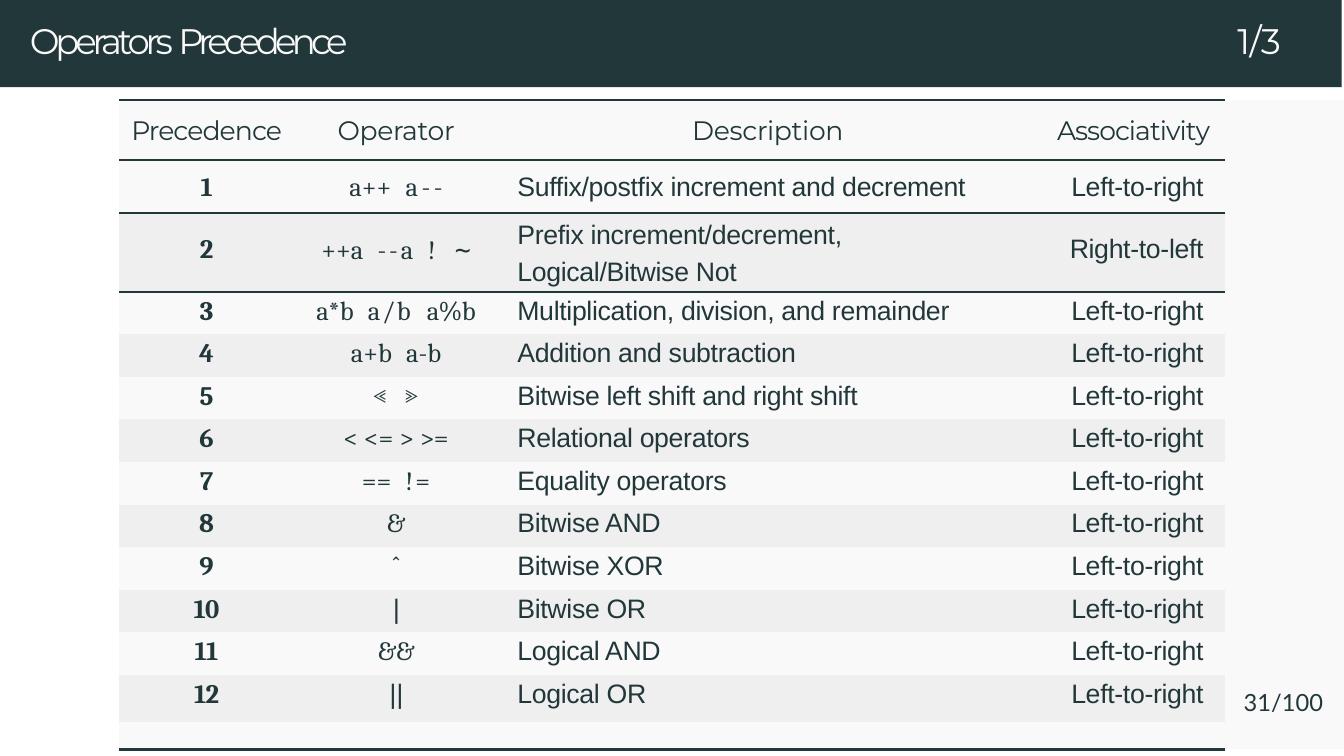
import pptx
import pptx.dml.color
import pptx.enum.shapes
import pptx.enum.text
import pptx.oxml
import pptx.oxml.ns
import pptx.util
from pptx.util import Inches

COLORS = {"dark": "22373A", "light": "F9F9F9", "stripe": "EFEFEF"}
ALIGN = pptx.enum.text.PP_ALIGN
NO_STYLE = "{2D5ABB26-0587-4C30-8999-92F81FD0307C}"
SYMBOL_FONT = "DejaVu Sans Mono"
GAP = (" ", 2.8)

HEADINGS = [("Precedence", -0.3), ("Operator", -0.1), ("Description", -0.1), ("Associativity", -0.3)]
OPERATORS = [
    ([("a++", 0), GAP, ("a-", 1.2), ("-", 0.5)], "Suffix/postfix increment and decrement"),
    ([("++a", 0), GAP, ("--", 1), ("a ", 1.5), ("! ", 2.2), ("∼", -0.5)],
     "Prefix increment/decrement, Logical/Bitwise Not"),
    ([("a*b", 0), GAP, ("a/b", 0.6), GAP, ("a%b", -0.2)], "Multiplication, division, and remainder"),
    ([("a+b", 0), GAP, ("a-b", 0)], "Addition and subtraction"),
    ([("≪ ", 0), ("≫", -0.5)], "Bitwise left shift and right shift"),
    ([("< <= > ", 0), (">=", -0.2)], "Relational operators"),
    ([("==", 0), GAP, ("!=", 0.8)], "Equality operators"),
    ([("&", 0)], "Bitwise AND"),
    ([("ˆ", 0)], "Bitwise XOR"),
    ([("|", 0)], "Bitwise OR"),
    ([("&&", 0)], "Logical AND"),
    ([("||", 0)], "Logical OR"),
]
RIGHT_TO_LEFT = 2
COLUMN_WIDTHS = [0.82, 0.96, 2.41, 1, 0.56]
ROW_HEIGHTS = [0.28, 0.25, 0.37] + [0.2] * 9 + [0.22, 0.13]
TOP_MARGINS = {0: 0.07, 1: 0.06, 2: 0.1}


def rgb(name):
    return pptx.dml.color.RGBColor.from_string(COLORS[name])


def style_run(run, font_name, size, color="dark", spacing=0, bold=False, italic=False):
    run.font.name = font_name
    run.font.size = pptx.util.Pt(size)
    run.font.color.rgb = rgb(color)
    run.font.bold = bold
    run.font.italic = italic
    run._r.get_or_add_rPr().set("spc", str(round(spacing * 100)))


def write_header_text(shape, box, runs):
    shape.left, shape.top, shape.width, shape.height = [Inches(length) for length in box]
    frame = shape.text_frame
    frame.margin_left = frame.margin_top = Inches(0.01)
    frame.margin_right = frame.margin_bottom = 0
    frame.word_wrap = True
    frame.auto_size = pptx.enum.text.MSO_AUTO_SIZE.NONE
    frame.vertical_anchor = pptx.enum.text.MSO_ANCHOR.TOP
    paragraph = frame.paragraphs[0]
    paragraph.alignment = ALIGN.LEFT
    for text, spacing in runs:
        run = paragraph.add_run()
        run.text = text
        style_run(run, "Montserrat", 12, "light", spacing)


def add_header(slide, left, top, width, height):
    bar = slide.shapes.add_shape(
        pptx.enum.shapes.MSO_SHAPE.RECTANGLE,
        Inches(left), Inches(top), Inches(width), Inches(height))
    bar.shadow.inherit = False
    bar.fill.solid()
    bar.fill.fore_color.rgb = rgb("dark")
    bar.line.fill.background()
    slide.shapes._spTree.insert(2, bar._element)
    write_header_text(slide.shapes.title, (left + 0.13, top + 0.08, 1.7, 0.23),
                      [("Operators ", -1.4), ("Precedence", -1.6)])
    counter = slide.shapes.add_textbox(0, 0, 0, 0)
    write_header_text(counter, (left + width - 0.5, top + 0.08, 0.3, 0.23), [("1/3", -0.2)])


def write_cell(cell, runs, font_name, alignment, size=9, bold=False):
    paragraph = cell.text_frame.paragraphs[0]
    paragraph.alignment = alignment
    for text, spacing in runs:
        run = paragraph.add_run()
        run.text = text
        bar = text.startswith("|")
        name = SYMBOL_FONT if text.strip() in "∼≪≫" and text.strip() else font_name
        style_run(run, "Arial" if bar else name, size, "dark", spacing, bold, bar)


def add_rule(cell, side, points):
    line = pptx.oxml.parse_xml(
        f'<a:{side} {pptx.oxml.ns.nsdecls("a")} w="{pptx.util.Pt(points)}"><a:solidFill>'
        f'<a:srgbClr val="{COLORS["dark"]}"/></a:solidFill></a:{side}>')
    cell._tc.get_or_add_tcPr().insert(0, line)


def prepare_cells(table):
    for row_index, row in enumerate(table.rows):
        for column_index, cell in enumerate(row.cells):
            cell.margin_left = cell.margin_right = cell.margin_bottom = 0
            cell.margin_top = Inches(TOP_MARGINS.get(row_index, 0.02))
            striped = row_index > 0 and row_index % 2 == 0 and column_index < 4
            cell.fill.solid()
            cell.fill.fore_color.rgb = rgb("stripe" if striped else "light")
            end = cell.text_frame.paragraphs[0]._p.get_or_add_endParaRPr()
            end.set("sz", "400")


def add_rules(table):
    for column in range(4):
        for row, side, points in [(0, "lnB", 0.75), (0, "lnT", 1), (1, "lnB", 0.75),
                                  (1, "lnT", 0.75), (2, "lnT", 0.75), (13, "lnB", 1)]:
            add_rule(table.cell(row, column), side, points)


def add_precedence_table(slide, left, top, width, height):
    table = slide.shapes.add_table(
        len(ROW_HEIGHTS), len(COLUMN_WIDTHS),
        Inches(left), Inches(top), Inches(width), Inches(height)).table
    table.first_row = table.horz_banding = False
    table._tbl.tblPr.find(pptx.oxml.ns.qn("a:tableStyleId")).text = NO_STYLE
    for column, column_width in zip(table.columns, COLUMN_WIDTHS):
        column.width = Inches(column_width)
    for row, row_height in zip(table.rows, ROW_HEIGHTS):
        row.height = Inches(row_height)
    prepare_cells(table)
    add_rules(table)

    for column, heading in enumerate(HEADINGS):
        alignment = ALIGN.RIGHT if column == 3 else ALIGN.CENTER
        write_cell(table.cell(0, column), [heading], "Montserrat", alignment)
    table.cell(0, 2).margin_left = Inches(0.12)
    table.cell(0, 3).margin_right = Inches(0.07)

    for number, (symbols, description) in enumerate(OPERATORS, 1):
        precedence, operator, meaning, order = [table.cell(number, column) for column in range(4)]
        write_cell(precedence, [(str(number), -0.2 if number > 9 else 0)], "Cambria",
                   ALIGN.CENTER, bold=True)
        write_cell(operator, symbols, "Cambria", ALIGN.CENTER)
        write_cell(meaning, [(description, -0.1)], "Arial", ALIGN.LEFT)
        meaning.margin_left = Inches(0.09)
        direction = "Right-to-left" if number == RIGHT_TO_LEFT else "Left-to-right"
        write_cell(order, [(direction, -0.1)], "Arial", ALIGN.RIGHT)
        order.margin_right = Inches(0.1)

    wrapped = table.cell(RIGHT_TO_LEFT, 2)
    wrapped.margin_top = 0
    wrapped.margin_right = Inches(0.6)
    wrapped.text_frame.paragraphs[0].line_spacing = pptx.util.Pt(12.6)

    page = table.cell(12, 4)
    page.margin_left, page.margin_top = Inches(0.09), Inches(0.06)
    write_cell(page, [("31/100", 0)], "Lato", ALIGN.LEFT, size=8)
    table.cell(0, 4).merge(table.cell(11, 4))


def main():
    presentation = pptx.Presentation()
    presentation.slide_width = Inches(6.31)
    presentation.slide_height = Inches(3.55)
    slide = presentation.slides.add_slide(presentation.slide_layouts[5])
    add_header(slide, 0, 0, 6.3, 0.41)
    add_precedence_table(slide, 0.56, 0.47, sum(COLUMN_WIDTHS), sum(ROW_HEIGHTS))
    presentation.save("out.pptx")


if __name__ == "__main__":
    main()
